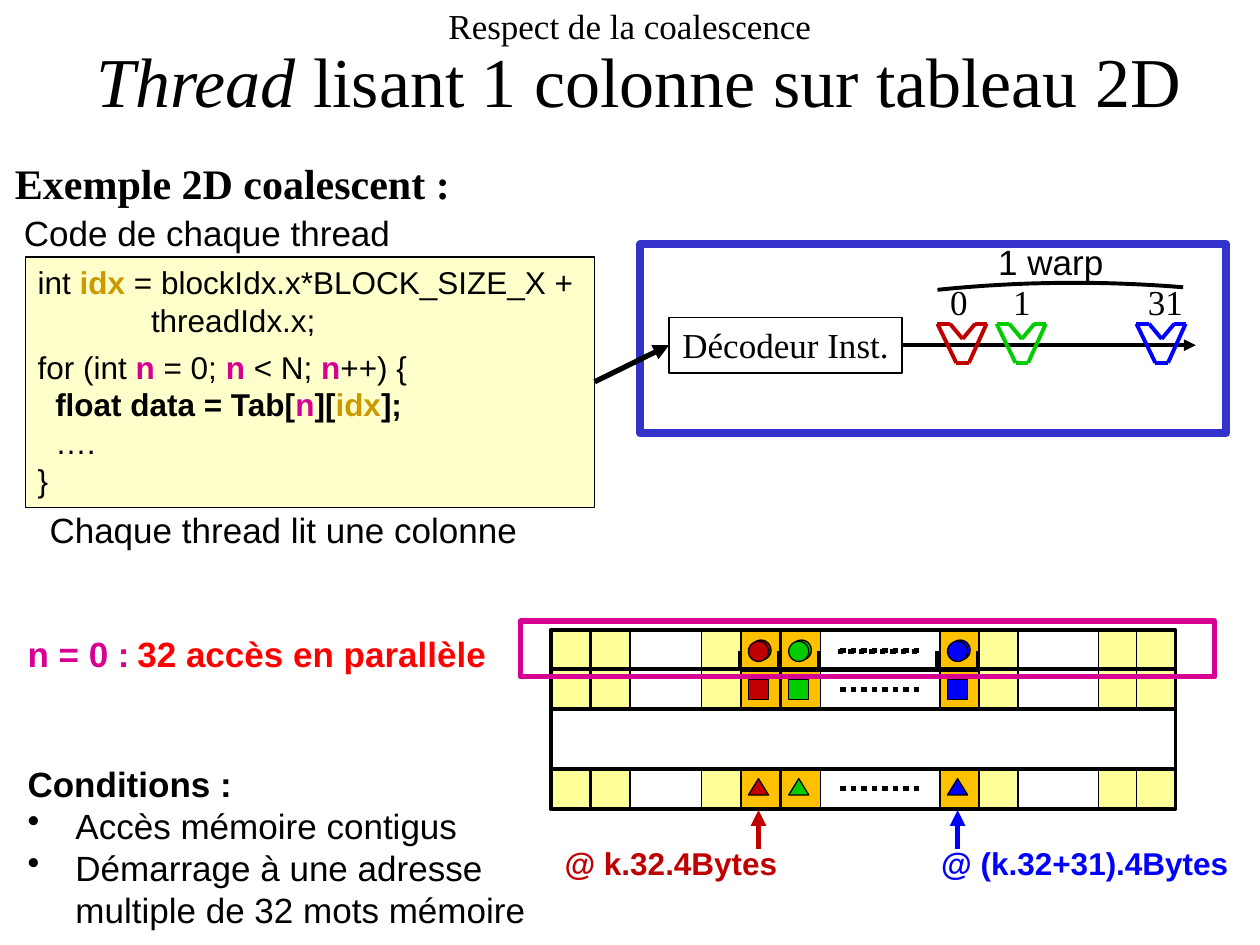
from dataclasses import dataclass
from typing import Optional

from lxml import etree
from pptx import Presentation
from pptx import util as u
from pptx.dml.color import RGBColor
from pptx.enum import dml, shapes, text
from pptx.oxml.ns import qn

COLORS = {
    "black": "000000", "white": "FFFFFF", "frame": "3333CC", "code": "FFFFCC",
    "cell": "FFFF99", "active": "FFC000", "gold": "CC9900", "pink": "D60093",
    "red": "C00000", "green": "00CC00", "blue": "0000FF", "alert": "FF0000",
}
SERIF, SANS = "Times New Roman", "Arial"
KIND = shapes.MSO_SHAPE
LEFT, CENTER = text.PP_ALIGN.LEFT, text.PP_ALIGN.CENTER


@dataclass
class Span:
    text: str
    color: str = "black"
    bold: bool = False
    italic: bool = False
    size: Optional[float] = None


@dataclass
class Line:
    spans: list[Span]
    indent: float = 0
    before: float = 0
    bullet: bool = False


@dataclass
class Lane:
    label: str
    color: str
    glyph: float
    label_left: float
    label_width: float
    cell: float


@dataclass
class Row:
    top: float
    marker: KIND
    marker_top: float
    marker_height: float
    marker_shift: float
    dots: tuple[float, float]


LANES = [
    Lane("0", "red", 7.44, 7.44, 0.34, 5.88),
    Lane("1", "green", 7.91, 7.94, 0.34, 6.2),
    Lane("31", "blue", 9.02, 9.01, 0.48, 7.46),
]
ROWS = [
    Row(5, KIND.OVAL, 5.08, 0.16, 0.08, (6.67, 5.16)),
    Row(5.31, KIND.RECTANGLE, 5.39, 0.16, 0.06, (6.67, 5.47)),
    Row(6.1, KIND.ISOSCELES_TRIANGLE, 6.18, 0.13, 0.06, (6.67, 6.26)),
]
PLAIN_CELLS = (4.37, 4.69, 5.57, 7.77, 8.72, 9.02)
CELL, TABLE_LEFT, TABLE_RIGHT = 0.31, 4.37, 9.33
GLYPH = [
    ((0, 0), (0.1, 0)), ((0.3, 0), (0.39, 0)), ((0.1, 0), (0.2, 0.12)),
    ((0.3, 0), (0.2, 0.12)), ((0, 0), (0.15, 0.31)), ((0.39, 0), (0.25, 0.31)),
    ((0.15, 0.31), (0.25, 0.31)),
]


def rgb(name: str) -> RGBColor:
    """Return the named colour."""
    return RGBColor.from_string(COLORS[name])


def add_line(page, start, end, color="black", width=2.25, arrow=False, dotted=False) -> None:
    """Draw a straight line, with an arrowhead or dots on request."""
    line = page.shapes.add_connector(
        shapes.MSO_CONNECTOR.STRAIGHT, *map(u.Inches, (*start, *end)))
    line.line.color.rgb = rgb(color)
    line.line.width = u.Pt(width)
    if dotted:
        line.line.dash_style = dml.MSO_LINE.ROUND_DOT
    properties = line._element.spPr
    if arrow:
        etree.SubElement(properties.find(qn("a:ln")), qn("a:tailEnd"), type="triangle")
    etree.SubElement(properties, qn("a:effectLst"))


def add_box(page, kind, at, fill: Optional[str] = None, color="black", width=0.75):
    """Draw a preset shape."""
    box = page.shapes.add_shape(kind, *map(u.Inches, at))
    box.shadow.inherit = False
    if fill:
        box.fill.solid()
        box.fill.fore_color.rgb = rgb(fill)
    else:
        box.fill.background()
    box.line.color.rgb = rgb(color)
    box.line.width = u.Pt(width)
    return box


def write(box, lines: list[Line], size=20.0, font=SANS, align=CENTER, wrap=False,
          anchor=text.MSO_ANCHOR.TOP) -> None:
    """Fill a box with formatted paragraphs."""
    frame = box.text_frame
    frame.word_wrap = wrap
    frame.vertical_anchor = anchor
    for number, line in enumerate(lines):
        para = frame.add_paragraph() if number else frame.paragraphs[0]
        para.alignment = align
        para.space_before = u.Pt(line.before)
        para.font.name, para.font.size = font, u.Pt(size)
        properties = para._p.get_or_add_pPr()
        if line.indent:
            properties.set("marL", str(u.Inches(line.indent)))
        if line.bullet:
            properties.set("indent", str(-u.Inches(line.indent)))
            bullet = etree.Element(qn("a:buChar"), char="•")
            properties.find(qn("a:defRPr")).addprevious(bullet)
        for span in line.spans:
            if span.text == "\n":
                para.add_line_break()
                continue
            run = para.add_run()
            run.text = span.text
            run.font.color.rgb = rgb(span.color)
            run.font.bold, run.font.italic = span.bold, span.italic
            if span.size:
                run.font.size = u.Pt(span.size)


def add_text(page, at, lines: list[Line], **style) -> None:
    """Place a text box."""
    write(page.shapes.add_textbox(*map(u.Inches, at)), lines, **style)


def add_label(page, at, words: str, color="black", bold=False, **style) -> None:
    """Place a text box of one span."""
    add_text(page, at, [Line([Span(words, color, bold)])], **style)


def add_warp(page) -> None:
    """Draw the decoder and the lanes of one warp."""
    add_box(page, KIND.RECTANGLE, (5.08, 1.94, 4.65, 1.5), "white", "frame", 4.5)
    add_line(page, (7.17, 2.74), (9.49, 2.74), arrow=True)
    decoder = add_box(page, KIND.RECTANGLE, (5.31, 2.52, 1.85, 0.44), "white")
    write(decoder, [Line([Span("Décodeur Inst.")])], font=SERIF)
    for lane in LANES:
        for start, end in GLYPH:
            add_line(page, *((lane.glyph + x, 2.57 + y) for x, y in (start, end)), lane.color)
        add_label(page, (lane.label_left, 2.18, lane.label_width, 0.44), lane.label, font=SERIF)
    add_label(page, (7.82, 1.86, 1.04, 0.44), "1 warp")
    ends, control, steps = ((7.44, 2.3), (9.39, 2.28)), (8.42, 2.2), 16
    points = [
        tuple(u.Inches((1 - t) ** 2 * a + 2 * t * (1 - t) * c + t * t * b)
              for a, c, b in zip(ends[0], control, ends[1]))
        for t in (step / steps for step in range(steps + 1))
    ]
    builder = page.shapes.build_freeform(*points[0])
    builder.add_line_segments(points[1:], close=False)
    arc = builder.convert_to_shape()
    arc.shadow.inherit = False
    arc.fill.background()
    arc.line.color.rgb = rgb("black")
    arc.line.width = u.Pt(2.25)


def add_markers(page, row: Row) -> None:
    """Draw the access markers and the dots of a row."""
    for lane in LANES:
        at = (lane.cell + row.marker_shift, row.marker_top, 0.16, row.marker_height)
        add_box(page, row.marker, at, lane.color)
    x, y = row.dots
    add_line(page, (x, y), (x + 0.63, y), width=3, dotted=True)


def add_memory(page) -> None:
    """Draw the 2D array and the accesses of the first step."""
    for row in ROWS:
        for left in PLAIN_CELLS:
            add_box(page, KIND.RECTANGLE, (left, row.top, CELL, CELL), "cell")
        for lane in LANES:
            add_box(page, KIND.RECTANGLE, (lane.cell, row.top, CELL, CELL), "active")
        add_markers(page, row)
    for y in (5, 5.31, 5.63, 6.1):
        add_line(page, (TABLE_LEFT, y), (TABLE_RIGHT, y))
    add_box(page, KIND.RECTANGLE, (TABLE_LEFT, 5, TABLE_RIGHT - TABLE_LEFT, 1.42), width=2.25)
    add_line(page, (5.87, 5.32), (7.76, 5.32))
    for x in (5.87, 6.18, 6.5, 7.44, 7.76):
        add_line(page, (x, 5.17), (x, 5.32))
    add_markers(page, Row(5, KIND.OVAL, 5.09, 0.16, 0.06, (6.65, 5.17)))
    add_box(page, KIND.RECTANGLE, (4.13, 4.93, 5.51, 0.44), color="pink", width=3)
    for words, color, left, width, x in (
            ("@ k.32.4Bytes", "red", 4.37, 1.91, 6.02),
            ("@ (k.32+31).4Bytes", "blue", 7.36, 2.5, 7.6)):
        add_label(page, (left, 6.65, width, 0.4), words, color, True, size=18)
        add_line(page, (x, 6.74), (x, 6.43), color, 3, arrow=True)


def main() -> None:
    """Build the slide."""
    deck = Presentation()
    deck.slide_width, deck.slide_height = u.Inches(10), u.Inches(7.5)
    page = deck.slides.add_slide(deck.slide_layouts[6])
    add_text(page, (0, 0, 10, 1.04), [Line([
        Span("Respect de la coalescence", size=20), Span("\n"), Span(" "),
        Span("Thread", italic=True), Span(" lisant 1 colonne sur tableau 2D")])],
        size=40, font=SERIF, wrap=True, anchor=text.MSO_ANCHOR.MIDDLE)
    page.shapes[0].text_frame.paragraphs[0].line_spacing = 0.9
    add_label(page, (0.02, 1.2, 3.69, 0.5), "Exemple 2D coalescent :", bold=True,
              size=24, font=SERIF, align=LEFT)
    add_label(page, (0.08, 1.63, 3.13, 0.44), "Code de chaque thread")
    add_warp(page)
    n = Span("n", "pink", True)
    code = add_box(page, KIND.RECTANGLE, (0.2, 2.04, 4.52, 1.99), "code")
    write(code, [
        Line([Span("int "), Span("idx ", "gold", True), Span("= blockIdx.x*BLOCK_SIZE_X +")]),
        Line([Span("threadIdx.x;")], 0.9),
        Line([Span("for (int "), n, Span(" = 0; "), n, Span(" < N; "), n, Span("++) {")], before=5),
        Line([Span("float data = Tab[", bold=True), n, Span("][", bold=True),
              Span("idx", "gold", True), Span("];", bold=True)], 0.14),
        Line([Span("….")], 0.14),
        Line([Span("}")]),
    ], size=18, align=LEFT)
    add_line(page, (4.72, 3.03), (5.31, 2.74), width=3, arrow=True)
    add_label(page, (0.28, 3.99, 3.94, 0.44), "Chaque thread lit une colonne")
    add_memory(page)
    add_label(page, (0.12, 4.97, 1.02, 0.44), "n = 0 :", "pink", True, align=LEFT)
    add_label(page, (0.98, 4.97, 2.99, 0.44), "32 accès en parallèle", "alert", True)
    add_text(page, (0.12, 6, 4.41, 1.45), [
        Line([Span("Conditions :", bold=True)]),
        Line([Span("Accès mémoire contigus")], 0.38, bullet=True),
        Line([Span("Démarrage à une adresse multiple de 32 mots mémoire")], 0.38, bullet=True),
    ], align=LEFT, wrap=True)
    deck.save("out.pptx")


if __name__ == "__main__":
    main()
